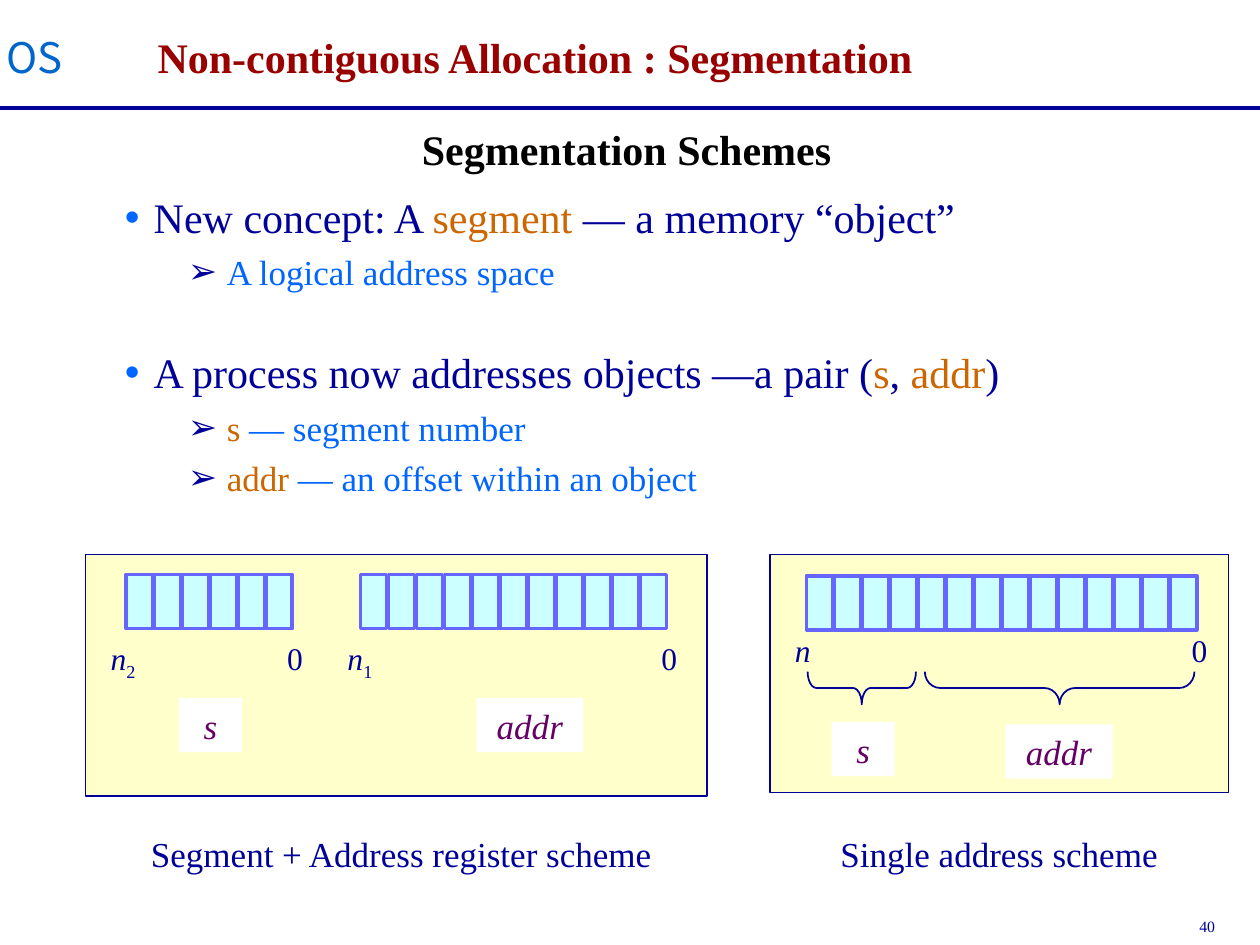
from lxml import etree
from pptx import Presentation
from pptx.dml.color import RGBColor
from pptx.enum.shapes import MSO_CONNECTOR, MSO_SHAPE
from pptx.enum.text import MSO_ANCHOR, MSO_AUTO_SIZE, PP_ALIGN
from pptx.oxml.ns import qn
from pptx.util import Inches, Pt

RECTANGLE, LEFT_BRACE = MSO_SHAPE.RECTANGLE, MSO_SHAPE.LEFT_BRACE
STRAIGHT = MSO_CONNECTOR.STRAIGHT
LEFT, CENTER = PP_ALIGN.LEFT, PP_ALIGN.CENTER
TOP = MSO_ANCHOR.TOP
NO_AUTOFIT = MSO_AUTO_SIZE.NONE

SERIF = "Times New Roman"
COLORS = {
    "navy": "000099", "blue": "0066FF", "course": "0066CC", "orange": "CC6600",
    "title": "990000", "black": "000000", "white": "FFFFFF", "purple": "660066",
    "panel": "FFFFCC", "cell": "CCFFFF", "cell_line": "6666FF",
}
CELL_WIDTH, CELL_HEIGHT = 0.21, 0.43

# Level, space before, and runs of (text, colour)
BULLETS = [
    (0, 0, [("New concept: A ", "navy"), ("segment", "orange"),
            (" — a memory “object”", "navy")]),
    (1, 5, [("A logical address space", "blue")]),
    (0, 31, [("A process now addresses objects —a pair (", "navy"), ("s", "orange"),
             (", ", "navy"), ("addr", "orange"), (")", "navy")]),
    (1, 5, [("s", "orange"), (" — segment number", "blue")]),
    (1, 5, [("addr", "orange"), (" — an offset within an object", "blue")]),
]
# Margin, indent, bullet, bullet colour and text size of each level
LEVELS = [(0.23, -0.23, "•", "blue", 24), (0.81, -0.31, "➢", "navy", 20)]


def rgb(name):
    return RGBColor.from_string(COLORS[name])


def place(shape, left, top, width, height):
    shape.left, shape.top = Inches(left), Inches(top)
    shape.width, shape.height = Inches(width), Inches(height)


def format_text(shape, text, size, color, align=LEFT, name=SERIF, bold=False, italic=False):
    frame = shape.text_frame
    frame.word_wrap = False
    frame.auto_size = NO_AUTOFIT
    frame.vertical_anchor = TOP
    paragraph = frame.paragraphs[0]
    paragraph.text = text
    paragraph.alignment = align
    font = paragraph.font
    font.size, font.name, font.bold, font.italic = Pt(size), name, bold, italic
    font.color.rgb = rgb(color)
    return paragraph


def add_text(slide, left, top, width, height, text, size, color, **style):
    box = slide.shapes.add_textbox(Inches(left), Inches(top), Inches(width), Inches(height))
    format_text(box, text, size, color, **style)
    return box


def add_box(slide, left, top, width, height, fill, line=None, line_width=1):
    shape = slide.shapes.add_shape(
        RECTANGLE, Inches(left), Inches(top), Inches(width), Inches(height))
    shape.shadow.inherit = False
    shape.fill.solid()
    shape.fill.fore_color.rgb = rgb(fill)
    if line:
        shape.line.color.rgb = rgb(line)
        shape.line.width = Pt(line_width)
    else:
        shape.line.fill.background()
    return shape


def add_field_label(slide, left, top, width, text):
    label = add_box(slide, left, top, width, 0.43, "white")
    format_text(label, text, 20, "purple", align=CENTER, italic=True)


def add_register(slide, left, top, width, count):
    """Draw a row of bit cells spread evenly over the width."""
    pitch = (width - CELL_WIDTH) / (count - 1)
    for index in range(count):
        add_box(slide, left + index * pitch, top, CELL_WIDTH, CELL_HEIGHT,
                "cell", "cell_line", 2)


def add_bit_labels(slide, first_left, last_left, top, subscript=""):
    """Write the highest bit, n, and the lowest bit, 0, below a register."""
    box = add_text(slide, first_left, top, 0.4, 0.4, "n", 18, "navy", italic=True)
    if subscript:
        run = box.text_frame.paragraphs[0].add_run()
        run.text = subscript
        run.font.italic = False
        run.font._element.set("baseline", "-25000")
    add_text(slide, last_left, top, 0.32, 0.4, "0", 18, "navy")


def add_brace(slide, left, top, width, height, curve):
    """Draw a brace that opens upward, by turning a left brace."""
    brace = slide.shapes.add_shape(
        LEFT_BRACE, Inches(left + (width - height) / 2), Inches(top - (width - height) / 2),
        Inches(height), Inches(width))
    brace.rotation = 270
    brace.adjustments[0] = curve
    brace.shadow.inherit = False
    brace.fill.background()
    brace.line.color.rgb = rgb("navy")
    brace.line.width = Pt(1)


def add_register_scheme(slide, left, top, width, height):
    add_box(slide, left, top, width, height, "panel", "navy")
    add_register(slide, left + 0.32, top + 0.16, 1.32, 6)
    add_register(slide, left + 2.18, top + 0.16, 2.43, 11)
    add_bit_labels(slide, left + 0.1, left + 1.5, top + 0.62, "2")
    add_bit_labels(slide, left + 1.98, left + 4.47, top + 0.62, "1")
    add_field_label(slide, left + 0.74, top + 1.14, 0.5, "s")
    add_field_label(slide, left + 3.1, top + 1.14, 0.85, "addr")
    add_text(slide, left + 0.41, top + 2.16, 4.19, 0.43,
             "Segment + Address register scheme", 20, "navy", align=CENTER)


def add_single_scheme(slide, left, top, width, height):
    add_box(slide, left, top, width, height, "panel", "navy")
    add_register(slide, left + 0.29, top + 0.17, 3.1, 14)
    add_bit_labels(slide, left + 0.1, left + 3.25, top + 0.56)
    add_brace(slide, left + 0.3, top + 0.93, 0.86, 0.26, 0.27)
    add_brace(slide, left + 1.23, top + 0.93, 2.14, 0.26, 0.47)
    add_field_label(slide, left + 0.49, top + 1.33, 0.5, "s")
    add_field_label(slide, left + 1.87, top + 1.35, 0.85, "addr")
    add_text(slide, left + 0.46, top + 2.16, 2.72, 0.43,
             "Single address scheme", 20, "navy", align=CENTER)


def add_header(slide, left, top, width, height):
    course = add_text(slide, left + 0.08, top + 0.25, 0.39, 0.27, "OS", 24, "course",
                      align=CENTER, name="Noto Sans CJK SC")
    frame = course.text_frame
    frame.margin_left = frame.margin_right = frame.margin_top = frame.margin_bottom = 0
    title = slide.shapes.title
    place(title, left + 1.15, top + 0.2, 6.21, 0.5)
    format_text(title, "Non-contiguous Allocation : Segmentation", 24, "title", bold=True)
    bottom = Inches(top + height)
    rule = slide.shapes.add_connector(
        STRAIGHT, Inches(left), bottom, Inches(left + width), bottom)
    rule.line.color.rgb = rgb("navy")
    rule.line.width = Pt(2.25)
    etree.SubElement(rule._element.spPr, qn("a:effectLst"))


def set_bullet(paragraph, margin, indent, character, color):
    properties = paragraph._p.get_or_add_pPr()
    properties.set("marL", str(Inches(margin)))
    properties.set("indent", str(Inches(indent)))
    bullet_color = etree.SubElement(properties, qn("a:buClr"))
    etree.SubElement(bullet_color, qn("a:srgbClr"), val=COLORS[color])
    etree.SubElement(properties, qn("a:buChar"), char=character)


def fill_bullets(body, left, top, width, height):
    place(body, left, top, width, height)
    frame = body.text_frame
    frame.auto_size = NO_AUTOFIT
    for index, (level, space, runs) in enumerate(BULLETS):
        paragraph = frame.add_paragraph() if index else frame.paragraphs[0]
        margin, indent, character, color, size = LEVELS[level]
        paragraph.level = level
        set_bullet(paragraph, margin, indent, character, color)
        paragraph.space_before = Pt(space)
        paragraph.font.name = SERIF
        paragraph.font.size = Pt(size)
        for text, run_color in runs:
            run = paragraph.add_run()
            run.text = text
            run.font.color.rgb = rgb(run_color)


def main():
    presentation = Presentation()
    presentation.slide_width, presentation.slide_height = Inches(10), Inches(7.5)
    slide = presentation.slides.add_slide(presentation.slide_layouts[1])
    add_header(slide, 0, 0, 10, 0.86)
    add_text(slide, 3.25, 0.93, 3.45, 0.5, "Segmentation Schemes", 24, "black", bold=True)
    fill_bullets(slide.placeholders[1], 0.89, 1.47, 8.5, 4.5)
    add_register_scheme(slide, 0.68, 4.4, 4.93, 1.92)
    add_single_scheme(slide, 6.11, 4.4, 3.64, 1.89)
    add_text(slide, 9.42, 7.23, 0.72, 0.25, "40", 9, "navy")
    presentation.save("out.pptx")


if __name__ == "__main__":
    main()
